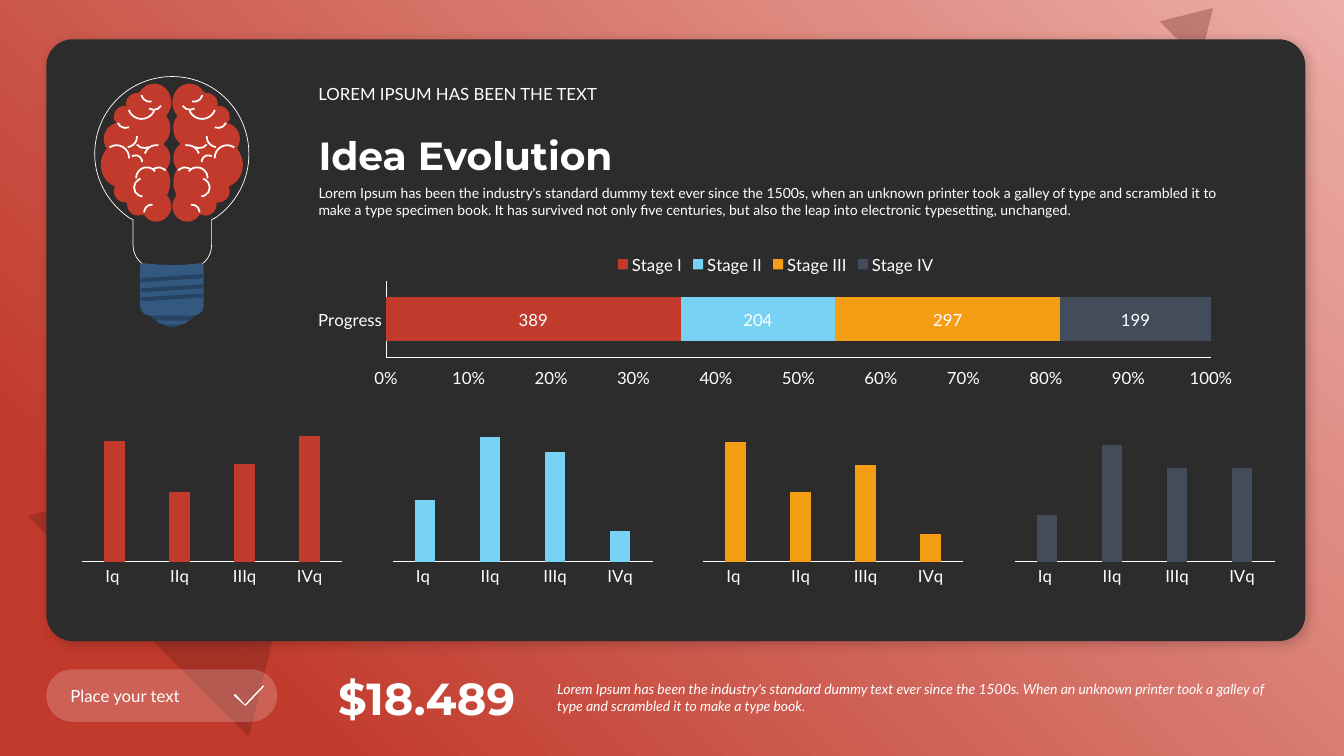
from pptx import Presentation
from pptx.chart.data import CategoryChartData
from pptx.dml.color import RGBColor
from pptx.enum.chart import (XL_CHART_TYPE, XL_LEGEND_POSITION, XL_TICK_LABEL_POSITION,
                             XL_TICK_MARK)
from pptx.enum.shapes import MSO_SHAPE
from pptx.enum.text import MSO_ANCHOR, MSO_AUTO_SIZE, PP_ALIGN
from pptx.oxml import parse_xml
from pptx.oxml.ns import nsdecls
from pptx.util import Pt

PX = 9144
WIDE, HIGH = 4000 / 3, 750
FOLD = 341
COLS, BAR = XL_CHART_TYPE.COLUMN_CLUSTERED, XL_CHART_TYPE.BAR_STACKED_100
TOP_KEY, NO_TICK = XL_LEGEND_POSITION.TOP, XL_TICK_MARK.NONE
LOW_TAG = XL_TICK_LABEL_POSITION.LOW
RECT, ROUND, ARC = MSO_SHAPE.RECTANGLE, MSO_SHAPE.ROUNDED_RECTANGLE, MSO_SHAPE.ARC
WEDGE, SLANT = MSO_SHAPE.ISOSCELES_TRIANGLE, MSO_SHAPE.PARALLELOGRAM
TOP, MID, LOW = MSO_ANCHOR.TOP, MSO_ANCHOR.MIDDLE, MSO_ANCHOR.BOTTOM
LEFT, RIGHT, FIXED = PP_ALIGN.LEFT, PP_ALIGN.RIGHT, MSO_AUTO_SIZE.NONE

HUES = {"dark": "2C2C2C", "white": "FFFFFF", "red": "C13A2C", "pink": "EBADA6",
        "wine": "601D16", "sky": "78D2F4", "gold": "F39E14", "slate": "434C5B",
        "navy": "264361", "blue": "335981"}

SMALL = {"size": Pt(10), "name": "Lato", "bold": False}
BASE = {**SMALL, "size": Pt(12)}
SLOPE = {**SMALL, "italic": True}
HEAD = {"size": Pt(28), "name": "Montserrat", "bold": True}
PRICE = {**HEAD, "size": Pt(32)}

GLASS = [(171, 76), (213, 76, 247, 110, 247, 153), (247, 179, 234, 202, 214, 216),
         (210, 218), (210, 243), (210, 256, 200, 266, 188, 266), (154, 266),
         (142, 266, 132, 256, 132, 243), (132, 218), (128, 216),
         (108, 202, 94, 179, 94, 153), (94, 110, 128, 76, 171, 76)]
BRAIN = [(153, 83), (162, 83, 170, 91, 170, 102), (170, 105, 169, 109, 167, 112),
         (165, 115), (168, 119, 169, 123, 169, 127), (169, 133, 167, 138, 163, 142),
         (162, 143), (163, 144), (167, 147, 169, 152, 169, 157),
         (169, 161, 168, 164, 166, 167), (165, 168), (166, 169),
         (168, 173, 169, 177, 169, 181), (169, 185, 168, 189, 166, 193), (165, 194),
         (166, 194), (168, 197, 170, 200, 170, 205), (170, 213, 163, 220, 155, 220),
         (150, 220, 145, 217, 143, 213), (142, 213), (140, 214, 139, 214, 137, 214),
         (131, 214, 126, 209, 126, 203), (126, 201), (125, 201),
         (118, 201, 113, 196, 113, 190), (113, 188, 113, 187, 114, 185), (110, 183),
         (104, 179, 100, 172, 100, 163), (100, 158, 102, 154, 104, 150), (106, 147),
         (105, 146), (104, 144, 103, 141, 103, 138), (103, 130, 108, 124, 115, 122),
         (116, 122), (114, 120), (113, 119, 113, 117, 113, 116),
         (113, 110, 118, 105, 123, 105), (125, 106), (125, 103),
         (125, 97, 130, 92, 137, 92), (138, 92), (139, 91),
         (142, 86, 147, 83, 153, 83)]
CAP = [(139, 263), (139, 262, 140, 261, 141, 261), (151, 262, 160, 263, 171, 263),
       (182, 263, 191, 262, 200, 261), (201, 261, 202, 262, 202, 263), (202, 304),
       (202, 305, 201, 306, 200, 306), (141, 306), (140, 306, 139, 305, 139, 304)]
TICK = [(262, 681), (261, 680), (243, 699), (234, 689), (232, 689), (232, 690),
        (243, 700), (244, 700)]
FOLDS = [(144, 92, 17, 122.3, 162, 0), (140, 84, 17, 167.1, 162, 0),
         (127, 91, 27, 167.1, 130.12, 211.95), (103, 144, 25, 167.1, 41.6, 117.24),
         (128, 154, 13, 167.1, 41.6, 117.24), (116, 110, 17, 156.5, 162, 0),
         (149, 166, 17, 126.4, 63.03, 117.24), (135, 166, 21, 126.4, 30.97, 117.24),
         (143, 203, 15, 126.4, 30.97, 90.77), (143, 144, 24, 158.8, 23.82, 72.33),
         (133, 177, 18, 58.3, 21.7, 117.24), (134, 129, 18, 21.9, 23.82, 72.33),
         (115, 125, 21, 110.9, 147.33, 199.6)]
SCREW = [((160, 305, 21, 20), "navy"), ((153, 302, 36, 20), "blue"),
         ((146, 294, 50, 24), "navy"), ((139, 294, 63, 19), "blue")]
STAGES = [("Stage I", 389, "red", (96, 56, 78, 100), 112),
          ("Stage II", 204, "sky", (50, 100, 88, 25), 113),
          ("Stage III", 297, "gold", (100, 58, 81, 23), 117),
          ("Stage IV", 199, "slate", (40, 100, 80, 80), 120)]
INTRO = ("Lorem Ipsum has been the industry's standard dummy text ever since the 1500s, "
         "when an unknown printer took a galley of type and scrambled it to make a type "
         "specimen book. It has survived not only five centuries, but also the leap into "
         "electronic typesetting, unchanged.")
NOTE = ("Lorem Ipsum has been the industry's standard dummy text ever since the 1500s. "
        "When an unknown printer took a galley of type and scrambled it to make a type book.")


def emu(box):
    """Turn px lengths into EMU."""
    return [round(n * PX) for n in box]


def put(item, form):
    """Set each attribute named in a dict."""
    for key, val in form.items():
        setattr(item, key, val)


def tint(part, hue):
    """Give a fill a solid colour."""
    part.solid()
    part.fore_color.rgb = RGBColor.from_string(HUES[hue])


def ink(font, form):
    """Format a font in white."""
    put(font, form)
    font.color.rgb = RGBColor.from_string(HUES["white"])


def paint(shape, fill=None, line=None, width=1, alpha=None):
    """Set fill, outline and opacity, without shadow."""
    shape.shadow.inherit = False
    if fill:
        tint(shape.fill, fill)
    else:
        shape.fill.background()
    if line:
        tint(shape.line.fill, line)
        shape.line.width = Pt(width)
    else:
        shape.line.fill.background()
    if alpha:
        color = shape.element.xpath(".//a:solidFill/a:srgbClr")[0]
        color.append(parse_xml(f'<a:alpha {nsdecls("a")} val="{alpha * 1000}"/>'))


def block(shapes, kind, box, fill, turn=0, adj=None, alpha=None):
    """Add a filled preset shape."""
    shape = shapes.add_shape(kind, *emu(box))
    shape.rotation = turn
    if adj is not None:
        shape.adjustments[0] = adj
    paint(shape, fill, alpha=alpha)
    return shape


def trace(shapes, route, fill, line=None, width=1, flip=False):
    """Draw a closed outline of lines and curves."""
    flat = [step[n:n + 2] for step in route for n in range(0, len(step), 2)]
    dots = [emu((FOLD - x if flip else x, y)) for x, y in flat]
    pen = shapes.build_freeform(*dots[0], scale=1.0)
    pen.add_line_segments(dots[1:], close=True)
    shape = pen.convert_to_shape()
    legs = iter(shape.element.xpath(".//a:path/a:lnTo"))
    for step in route[1:]:
        group = [next(legs) for n in range(len(step) // 2)]
        if len(group) == 3:
            curve = parse_xml(f'<a:cubicBezTo {nsdecls("a")}/>')
            group[0].addprevious(curve)
            for leg in group:
                curve.append(leg[0])
                leg.getparent().remove(leg)
    paint(shape, fill, line, width)


def crease(shapes, x, y, size, turn, start, end, flip):
    """Draw one arc on a half of the brain."""
    left = FOLD - x - size if flip else x
    arc = shapes.add_shape(ARC, *emu((left, y, size, size)))
    arc.adjustments[0], arc.adjustments[1] = start, end
    arc.rotation = 360 - turn if flip else turn
    if flip:
        arc.element.spPr.xfrm.set("flipH", "1")
    paint(arc, line="white", width=1.25)


def write(shape, box, text, form, anchor=MID, align=LEFT):
    """Place a text shape and fill it."""
    put(shape, dict(zip(("left", "top", "width", "height"), emu(box))))
    frame = shape.text_frame
    put(frame, {"word_wrap": True, "auto_size": FIXED, "vertical_anchor": anchor})
    para = frame.paragraphs[0]
    put(para, {"alignment": align, "space_before": Pt(0)})
    run = para.add_run()
    run.text = text
    ink(run.font, form)


def label(shapes, *args, **opts):
    """Add a text box."""
    write(shapes.add_textbox(0, 0, 0, 0), *args, **opts)


def plot(shapes, kind, box, cats, rows, gap, lap, inner):
    """Add a chart with coloured series, white axes and a set plot area."""
    data = CategoryChartData()
    data.categories = cats
    for name, vals, hue in rows:
        data.add_series(name, vals)
    chart = shapes.add_chart(kind, *emu(box), data).chart
    put(chart, {"has_title": False, "has_legend": False})
    ink(chart.font, BASE)
    bars = chart.plots[0]
    put(bars, {"gap_width": gap, "overlap": lap, "vary_by_categories": False})
    for series, row in zip(bars.series, rows):
        tint(series.format.fill, row[2])
    for axis in (chart.category_axis, chart.value_axis):
        put(axis, {"major_tick_mark": NO_TICK, "minor_tick_mark": NO_TICK,
                   "has_major_gridlines": False})
        tint(axis.format.line.fill, "white")
        axis.format.line.width = Pt(0.75)
        ink(axis.tick_labels.font, BASE)
    area = chart.element.xpath(".//c:plotArea")[0]
    for old in area.xpath("./c:layout"):
        area.remove(old)
    spots = "".join(f'<c:{tag} val="{val}"/>' for tag, val in zip(
        ("layoutTarget", "xMode", "yMode", "x", "y", "w", "h"),
        ("inner", "edge", "edge", *inner)))
    area.insert(0, parse_xml(f'<c:layout {nsdecls("c")}><c:manualLayout>{spots}'
                             '</c:manualLayout></c:layout>'))
    return chart


def quarters(shapes, box, vals, hue, peak):
    """Add the column chart of one stage."""
    chart = plot(shapes, COLS, box, ("Iq ", "IIq", "IIIq", "IVq"),
                 [("Series 1", vals, hue)], 219, -27, (0.024, 0.095, 0.952, 0.635))
    put(chart.value_axis, {"visible": False, "minimum_scale": 0, "maximum_scale": peak})


def progress(shapes, box):
    """Add the stacked bar of all stages."""
    rows = [(name, (val,), hue) for name, val, hue, *rest in STAGES]
    chart = plot(shapes, BAR, box, ("Progress",), rows, 75, 100,
                 (0.091, 0.257, 0.866, 0.52))
    chart.has_legend = True
    put(chart.legend, {"position": TOP_KEY, "include_in_layout": False})
    ink(chart.legend.font, BASE)
    chart.value_axis.tick_label_position = LOW_TAG
    put(chart.value_axis.tick_labels, {"number_format": "0%", "number_format_is_linked": False})
    bars = chart.plots[0]
    bars.has_data_labels = True
    bars.data_labels.show_value = True
    ink(bars.data_labels.font, BASE)


def scene(shapes):
    """Draw the gradient, the triangles and the dark card."""
    back = block(shapes, RECT, (0, 0, WIDE, HIGH), "red")
    stops = "".join(f'<a:gs pos="{pos}"><a:srgbClr val="{HUES[hue]}"/></a:gs>'
                    for pos, hue in ((0, "pink"), (85000, "red")))
    solid = back.element.spPr.xpath("./a:solidFill")[0]
    back.element.spPr.replace(solid, parse_xml(
        f'<a:gradFill {nsdecls("a")}><a:gsLst>{stops}</a:gsLst><a:path path="circle">'
        '<a:fillToRect l="100000" b="100000"/></a:path></a:gradFill>'))
    for box in ((73, 402, 310, 257), (1159, 1, 56, 47)):
        block(shapes, WEDGE, box, "wine", turn=45, alpha=30)
    card = block(shapes, ROUND, (46, 39, 1249, 597), "dark", adj=0.044)
    card.element.spPr.xpath("./a:effectLst")[0].append(parse_xml(
        f'<a:outerShdw {nsdecls("a")} blurRad="{Pt(8)}" dist="{Pt(3)}" dir="2700000">'
        '<a:srgbClr val="000000"><a:alpha val="20000"/></a:srgbClr></a:outerShdw>'))


def bulb(shapes):
    """Draw the light bulb with a brain inside."""
    trace(shapes, GLASS, "dark", "white", 0.5)
    for flip in (False, True):
        trace(shapes, BRAIN, "red", flip=flip)
        for fold in FOLDS:
            crease(shapes, *fold, flip)
    for box, hue in SCREW:
        block(shapes, ROUND, box, hue, adj=0.5)
    trace(shapes, CAP, "blue")
    for y in (274, 284, 293):
        block(shapes, SLANT, (139, y, 63, 4), "navy", turn=356.4, adj=0.311)


def button(shapes):
    """Draw the pill with its check mark."""
    block(shapes, ROUND, (46, 664, 229, 52), "white", adj=0.5, alpha=20)
    trace(shapes, TICK, "white")
    label(shapes, (60, 675, 188, 30), "Place your text", BASE)


def main():
    """Build and save the slide."""
    deck = Presentation()
    deck.slide_width, deck.slide_height = emu((WIDE, HIGH))
    slide = deck.slides.add_slide(deck.slide_layouts[1])
    shapes = slide.shapes
    title, body = shapes.title, slide.placeholders[1]
    scene(shapes)
    button(shapes.add_group_shape().shapes)
    label(shapes, (319, 660, 202, 64), "$18.489 ", PRICE, align=RIGHT)
    label(shapes, (543, 670, 733, 44), NOTE, SLOPE)
    bulb(shapes.add_group_shape().shapes)
    write(body, (306, 178, 935, 44), INTRO, SMALL, TOP)
    para = body.element.xpath(".//a:pPr")[0]
    para.set("marL", "0")
    para.set("indent", "0")
    para.append(parse_xml(f'<a:buNone {nsdecls("a")}/>'))
    write(title, (306, 125, 935, 57), "Idea Evolution", HEAD, LOW)
    for holder in (body, title):
        shapes.element.append(holder.element)
    label(shapes, (306, 78, 935, 30), "LOREM IPSUM HAS BEEN THE TEXT", BASE, LOW)
    for rank, (name, total, hue, vals, peak) in enumerate(STAGES):
        quarters(shapes, (75 + rank * 925 // 3, 397, 271, 220), vals, hue, peak)
    progress(shapes, (297, 241, 945, 147))
    deck.save("out.pptx")


if __name__ == "__main__":
    main()
